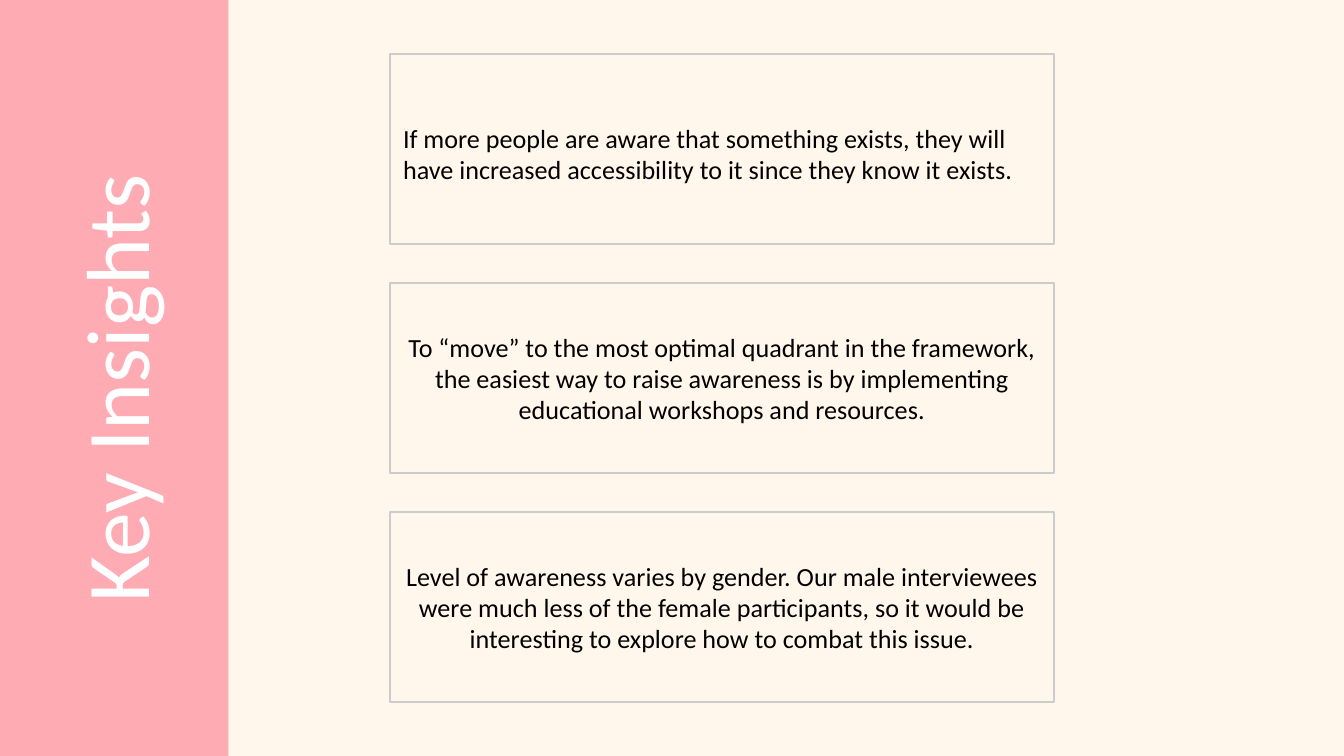
import pptx
import pptx.dml.color
import pptx.enum.shapes
import pptx.enum.text
import pptx.util

PX = 914400 / 134.4
ANCHOR = pptx.enum.text.MSO_ANCHOR
ALIGN = pptx.enum.text.PP_ALIGN


def color(value):
    return pptx.dml.color.RGBColor.from_string(value)


def write(box, text, size, ink, align, anchor, top_margin=13):
    frame = box.text_frame
    frame.text = text
    frame_format = {
        "word_wrap": True,
        "auto_size": pptx.enum.text.MSO_AUTO_SIZE.NONE,
        "vertical_anchor": anchor,
        "margin_left": round(13 * PX),
        "margin_right": round(13 * PX),
        "margin_top": round(top_margin * PX),
        "margin_bottom": round(13 * PX),
    }
    for name, value in frame_format.items():
        setattr(frame, name, value)
    para = frame.paragraphs[0]
    para.alignment = align
    span = para.runs[0]
    for name, value in {"name": "Calibri", "size": pptx.util.Pt(size)}.items():
        setattr(span.font, name, value)
    span.font.color.rgb = color(ink)


deck = pptx.Presentation()
deck.slide_width = round(1344 * PX)
deck.slide_height = round(756 * PX)
page = deck.slides.add_slide(deck.slide_layouts[5])
page.background.fill.solid()
page.background.fill.fore_color.rgb = color("FFF6EC")

title = page.shapes.title
title_place = {"left": -267, "top": 263, "width": 761, "height": 230}
for name, value in title_place.items():
    setattr(title, name, round(value * PX))
title.rotation = 270
title.fill.solid()
title.fill.fore_color.rgb = color("FFABB4")
write(title, "Key Insights ", 48, "FFFFFF", ALIGN.CENTER, ANCHOR.MIDDLE)

insights = [
    ("If more people are aware that something exists, they will have increased "
     "accessibility to it since they know it exists.",
     ALIGN.LEFT, ANCHOR.TOP, 68),
    ("To “move” to the most optimal quadrant in the framework, the easiest way to "
     "raise awareness is by implementing educational workshops and resources.",
     ALIGN.CENTER, ANCHOR.MIDDLE, 13),
    ("Level of awareness varies by gender. Our male interviewees were much less of "
     "the female participants, so it would be interesting to explore how to combat "
     "this issue.",
     ALIGN.CENTER, ANCHOR.MIDDLE, 13),
]
for row, (text, align, anchor, top_margin) in enumerate(insights):
    place = [round(value * PX) for value in (390, 54 + 229 * row, 664, 190)]
    box = page.shapes.add_shape(pptx.enum.shapes.MSO_SHAPE.RECTANGLE, *place)
    box.shadow.inherit = False
    box.fill.background()
    box.line.color.rgb = color("CCCCCC")
    box.line.width = pptx.util.Pt(0.75)
    write(box, text, 14, "000000", align, anchor, top_margin)

deck.save("out.pptx")
